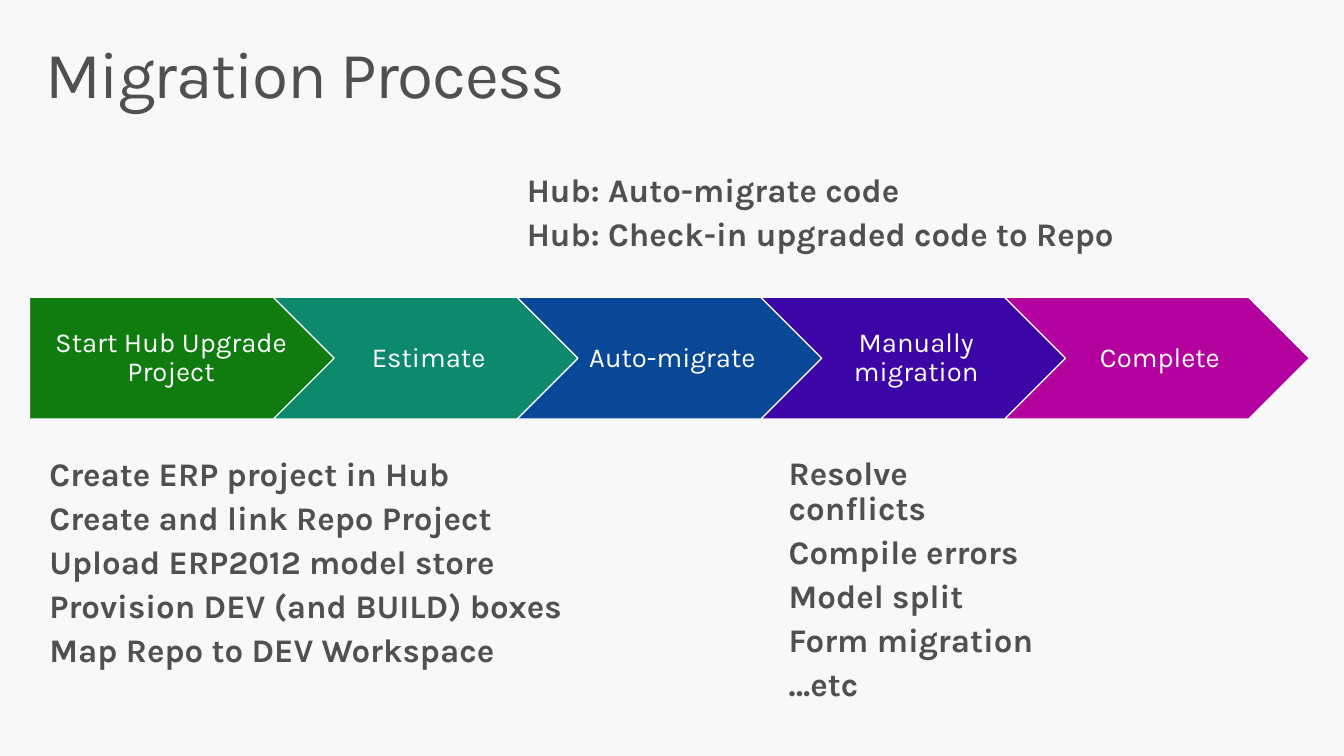
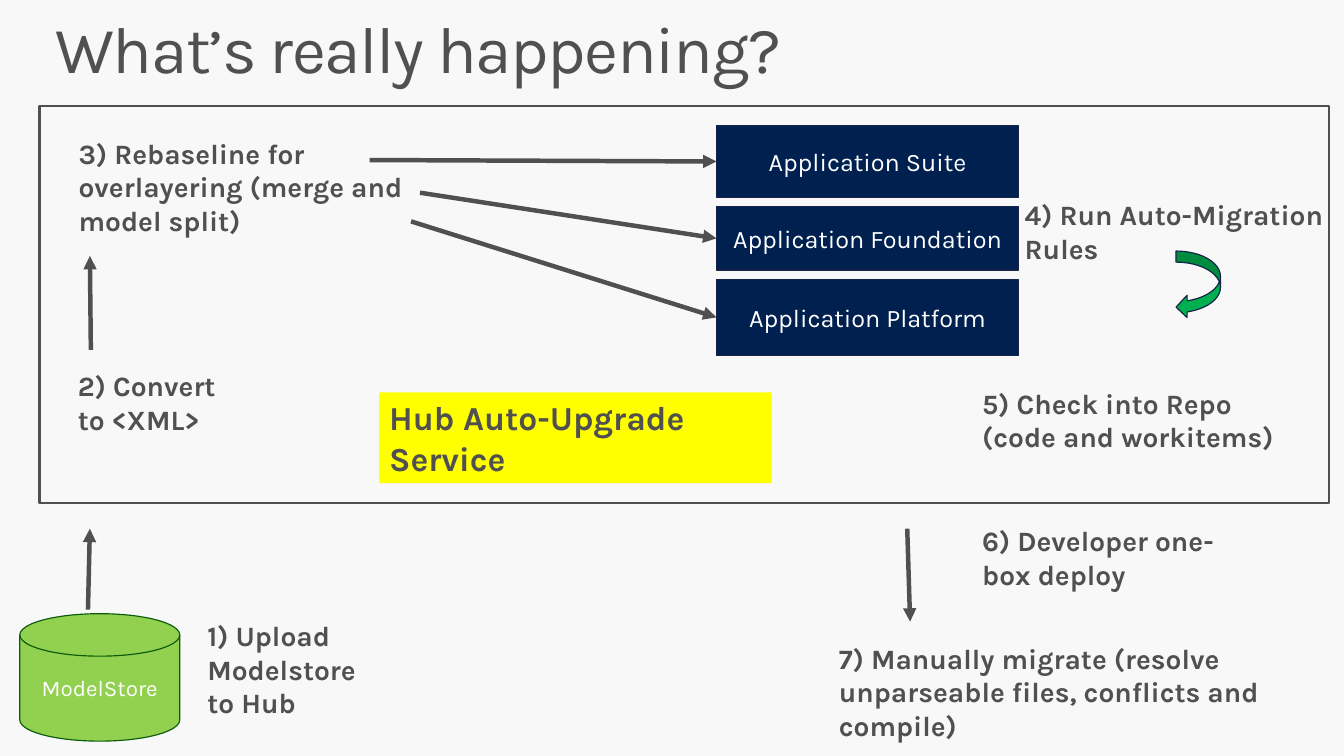
"""Builds two slides on a code migration: its process and the service behind it."""
from dataclasses import dataclass

import lxml.etree
import pptx
import pptx.dml.color
import pptx.enum.shapes
import pptx.enum.text
import pptx.oxml.ns
import pptx.util

Pt = pptx.util.Pt
qn = pptx.oxml.ns.qn
Shape = pptx.enum.shapes.MSO_SHAPE
Align = pptx.enum.text.PP_ALIGN
Anchor = pptx.enum.text.MSO_ANCHOR


@dataclass(frozen=True)
class Theme:
    font: str = "Karla"
    paper: str = "F8F8F8"
    ink: str = "505050"
    white: str = "FFFFFF"
    navy: str = "002050"
    navy_line: str = "152446"
    lime: str = "92D050"
    lime_line: str = "0C5C0C"
    green: str = "00B050"
    yellow: str = "FFFF00"
    title: float = 48
    listing: float = 24
    stage: float = 20
    note: float = 20.4
    service: float = 24.5
    layer: float = 18.4
    store: float = 16.3
    thin: float = 0.85
    frame: float = 1.5
    arrow: float = 3.25


THEME = Theme()
SLIDE_SIZE = (979.2, 550.8)

PROCESS_TITLE = ("Migration Process", (21.6, 23, 936, 72))
STAGES = [
    ("Start Hub Upgrade Project", "107C10"),
    ("Estimate", "0D896E"),
    ("Auto-migrate", "094797"),
    ("Manually migration", "3C05A5"),
    ("Complete", "B4009E"),
]
STAGE_BOX = (21.6, 216.7, 222, 88.6)
STAGE_STEP = 0.8
LISTINGS = [
    ((369.4, 115.2, 457, 81.4),
     ["Hub: Auto-migrate code", "Hub: Check-in upgraded code to Repo"]),
    ((21.6, 322.4, 406.8, 178.6),
     ["Create ERP project in Hub", "Create and link Repo Project", "Upload ERP2012 model store",
      "Provision DEV (and BUILD) boxes", "Map Repo to DEV Workspace"]),
    ((560.2, 321.4, 218, 178.6),
     ["Resolve conflicts", "Compile errors", "Model split", "Form migration", "…etc"]),
]

SERVICE_TITLE = ("What’s really happening?", (28.8, 5, 844.6, 73.4))
FRAME_BOX = (28.8, 77, 939.6, 289.4)
SERVICE = ("Hub Auto-Upgrade\vService", (276.5, 285.8, 285.8, 66.2))
STORE = ("ModelStore", (14.4, 447.1, 116.6, 92.9))
RULES_ARROW_BOX = (856.8, 182.9, 32.4, 49)
LAYERS = [
    ("Application Suite", 52.5, (269.3, 116.6)),
    ("Application Foundation", 46, (306, 140.4)),
    ("Application Platform", 55.5, (299.5, 161.3)),
]
LAYER_LEFT, LAYER_TOP, LAYER_WIDTH, LAYER_GAP = 522, 91.4, 220, 6.8
LEFT_SIDE = 1
NOTES = [
    ("1) Upload Modelstore to Hub", (144, 447.1, 134, 81.4)),
    ("2) Convert to <XML>", (49.7, 265, 134, 56.9)),
    ("3) Rebaseline for overlayering (merge and model split)", (50.2, 95.8, 267.8, 81.4)),
    ("4) Run Auto-Migration Rules", (739.5, 140.4, 239.7, 56.9)),
    ("5) Check into Repo\v(code and workitems)", (708.5, 277.9, 270, 56.9)),
    ("6) Developer one-box deploy", (708.5, 378, 195.8, 56.9)),
    ("7) Manually migrate (resolve unparseable files, conflicts and compile)",
     (604.1, 463.7, 375, 81.4)),
]
ARROWS = [
    ((64.1, 444.2), (65.5, 385.2)),
    ((66.2, 254.9), (65.5, 186.5)),
    ((661, 385.2), (663.1, 452.9)),
]


def rgb(color):
    return pptx.dml.color.RGBColor.from_string(color)


def write(box, text, *, size, color=THEME.ink, bold=False, align=Align.LEFT, anchor=Anchor.TOP,
          margins=(7.2, 3.6, 7.2, 3.6), leading=1.0, after=0, tracking=0):
    """Fill a box with one paragraph per item of text."""
    frame = box.text_frame
    frame.word_wrap = True
    frame.vertical_anchor = anchor
    frame.margin_left, frame.margin_top, frame.margin_right, frame.margin_bottom = map(Pt, margins)
    for index, line in enumerate([text] if isinstance(text, str) else text):
        para = frame.add_paragraph() if index else frame.paragraphs[0]
        para.text = line
        para.alignment = align
        para.line_spacing = leading
        para.space_after = Pt(after)
        for span in para.runs:
            span.font.name = THEME.font
            span.font.size = Pt(size)
            span.font.bold = bold
            span.font.color.rgb = rgb(color)
            if tracking:
                span.font._element.set("spc", str(tracking * 100))


def add_text(page, text, place, **style):
    box = page.shapes.add_textbox(*map(Pt, place))
    write(box, text, **style)
    return box


def add_shape(page, kind, place, fill=None, line=THEME.navy_line, width=THEME.thin):
    shape = page.shapes.add_shape(kind, *map(Pt, place))
    shape.shadow.inherit = False
    if fill:
        shape.fill.solid()
        shape.fill.fore_color.rgb = rgb(fill)
    else:
        shape.fill.background()
    shape.line.color.rgb = rgb(line)
    shape.line.width = Pt(width)
    return shape


def add_label(shape, text, size, **style):
    write(shape, text, size=size, color=THEME.white, align=Align.CENTER, anchor=Anchor.MIDDLE, **style)


def add_arrow(page, start, end):
    arrow = page.shapes.add_connector(
        pptx.enum.shapes.MSO_CONNECTOR.STRAIGHT, *map(Pt, start + end))
    arrow.line.color.rgb = rgb(THEME.ink)
    arrow.line.width = Pt(THEME.arrow)
    lxml.etree.SubElement(arrow.line._get_or_add_ln(), qn("a:tailEnd"), type="triangle")
    lxml.etree.SubElement(arrow._element.spPr, qn("a:effectLst"))
    return arrow


def add_page(deck, title, place):
    page = deck.slides.add_slide(deck.slide_layouts[6])
    add_text(page, title, place, size=THEME.title, leading=0.9, tracking=-1,
             margins=(11.5, 7.2, 11.5, 7.2))
    return page


def build_process(deck):
    page = add_page(deck, *PROCESS_TITLE)
    left, top, width, height = STAGE_BOX
    for index, (name, color) in enumerate(STAGES):
        kind = Shape.CHEVRON if index else Shape.PENTAGON
        place = (left + index * width * STAGE_STEP, top, width, height)
        stage = add_shape(page, kind, place, color, THEME.white)
        add_label(stage, name, THEME.stage, leading=0.9,
                  margins=(6.5 if index else 8.6, 4.3, 2.2, 4.3))
    for place, lines in LISTINGS:
        add_text(page, lines, place, size=THEME.listing, bold=True, leading=0.9, after=6,
                 margins=(14.4, 11.5, 14.4, 11.5))


def build_service(deck):
    page = add_page(deck, *SERVICE_TITLE)
    add_shape(page, Shape.FLOWCHART_PROCESS, FRAME_BOX, line=THEME.ink, width=THEME.frame)
    top = LAYER_TOP
    for name, height, arrow_start in LAYERS:
        layer = add_shape(page, Shape.FLOWCHART_PROCESS, (LAYER_LEFT, top, LAYER_WIDTH, height),
                          THEME.navy)
        add_label(layer, name, THEME.layer)
        arrow = add_arrow(page, arrow_start, (LAYER_LEFT, top + height / 2))
        arrow.end_connect(layer, LEFT_SIDE)
        top += height + LAYER_GAP
    name, place = STORE
    store = add_shape(page, Shape.FLOWCHART_MAGNETIC_DISK, place, THEME.lime, THEME.lime_line)
    add_label(store, name, THEME.store)
    service = add_text(page, *SERVICE, size=THEME.service, bold=True)
    service.fill.solid()
    service.fill.fore_color.rgb = rgb(THEME.yellow)
    for start, end in ARROWS:
        add_arrow(page, start, end)
    for text, place in NOTES:
        add_text(page, text, place, size=THEME.note, bold=True)
    add_shape(page, Shape.CURVED_LEFT_ARROW, RULES_ARROW_BOX, THEME.green)


def main():
    deck = pptx.Presentation()
    deck.slide_width, deck.slide_height = map(Pt, SLIDE_SIZE)
    backdrop = deck.slide_master.background.fill
    backdrop.solid()
    backdrop.fore_color.rgb = rgb(THEME.paper)
    build_process(deck)
    build_service(deck)
    deck.save("out.pptx")


if __name__ == "__main__":
    main()
